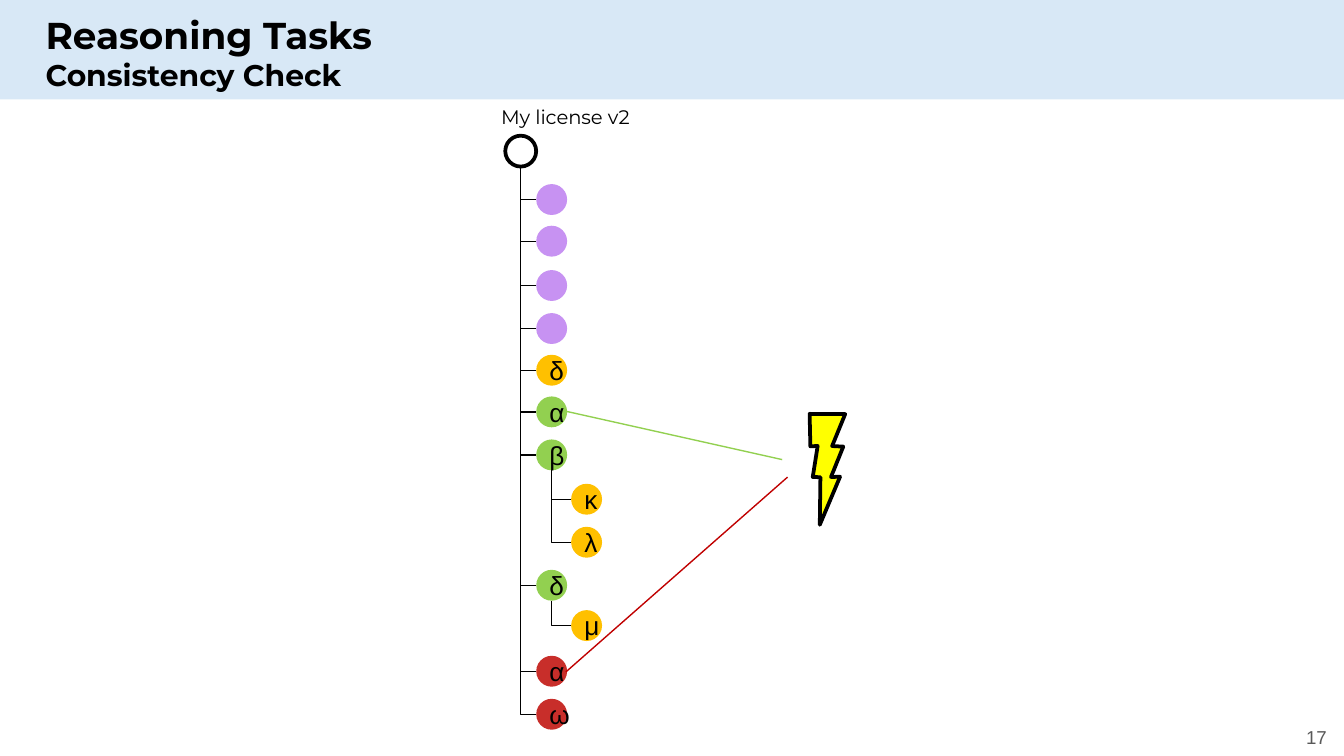
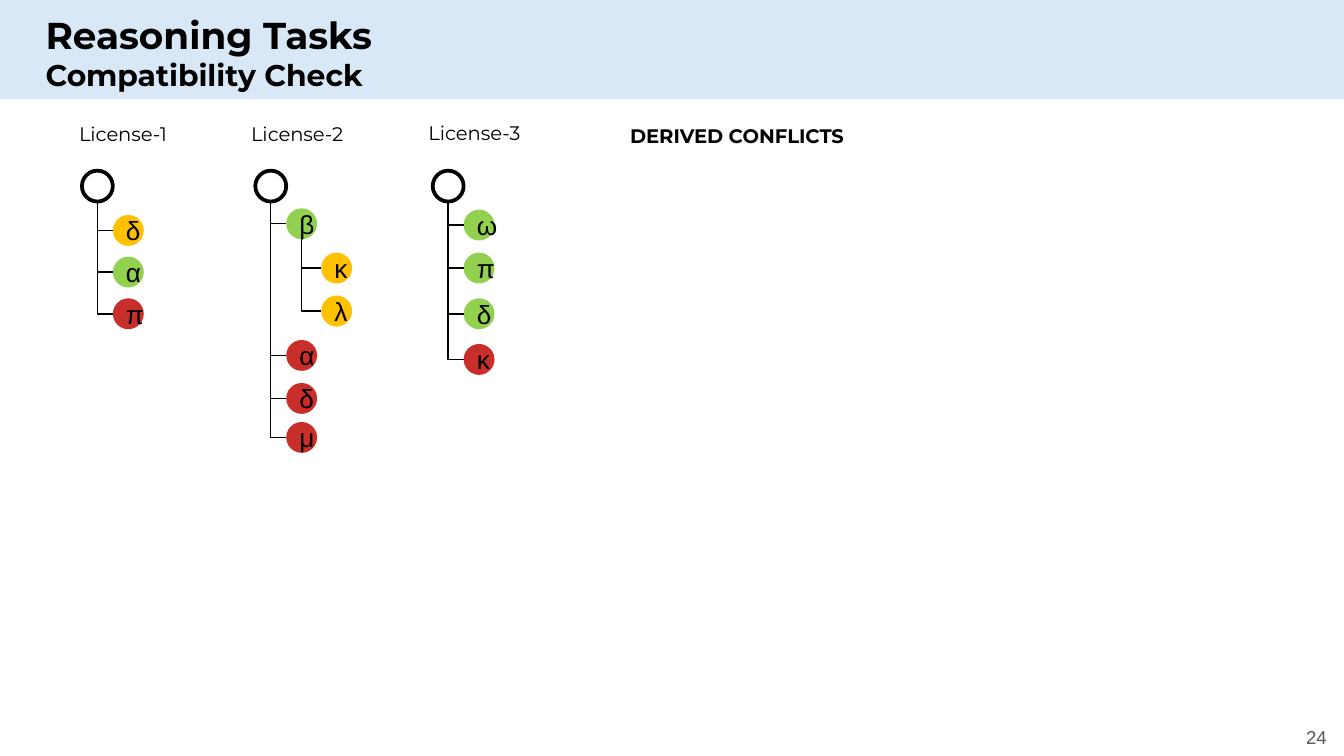
from lxml import etree
from pptx import Presentation
from pptx.dml.color import RGBColor
from pptx.enum import shapes, text
from pptx.oxml import ns
from pptx.util import Inches, Pt

BLACK = RGBColor(0x00, 0x00, 0x00)
GREY = RGBColor(0x59, 0x59, 0x59)
BLUE = RGBColor(0x3D, 0x8F, 0xD3)
LILAC = RGBColor(0xC7, 0x92, 0xF2)
AMBER = RGBColor(0xFF, 0xC0, 0x00)
GREEN = RGBColor(0x92, 0xD0, 0x50)
RED = RGBColor(0xC8, 0x2E, 0x2A)
DARK = RGBColor(0xC0, 0x00, 0x00)
YELLOW = RGBColor(0xFF, 0xFF, 0x00)

DOT = 0.23
STEP = 0.23
INDENT = 0.26

PAGES = [
    {
        "topic": "Consistency Check",
        "number": "17",
        "heads": [("My license v2", 3.63, 0.73, 1.18, False)],
        "trees": [
            (3.76, 1.01, [
                ("", LILAC, 1.37, 0), ("", LILAC, 1.68, 0),
                ("", LILAC, 2.01, 0), ("", LILAC, 2.33, 0),
                ("δ", AMBER, 2.64, 0), ("α", GREEN, 2.95, 0),
                ("β", GREEN, 3.27, 0), ("κ", AMBER, 3.6, 1),
                ("λ", AMBER, 3.92, 1), ("δ", GREEN, 4.24, 0),
                ("μ", AMBER, 4.54, 1), ("α", RED, 4.88, 0),
                ("ω", RED, 5.2, 0),
            ]),
        ],
        "clash": [(4.21, 3.06, 5.82, 3.42, GREEN), (4.21, 5, 5.86, 3.55, DARK)],
    },
    {
        "topic": "Compatibility Check",
        "number": "24",
        "heads": [
            ("License-1", 0.49, 0.86, 0.87, False),
            ("License-2", 1.77, 0.86, 0.9, False),
            ("License-3", 3.09, 0.85, 0.9, False),
            ("DERIVED CONFLICTS", 4.59, 0.87, 1.83, True),
        ],
        "trees": [
            (0.61, 1.27, [
                ("δ", AMBER, 1.6, 0), ("α", GREEN, 1.91, 0), ("π", RED, 2.22, 0),
            ]),
            (1.9, 1.27, [
                ("β", GREEN, 1.55, 0), ("κ", AMBER, 1.88, 1),
                ("λ", AMBER, 2.2, 1), ("α", RED, 2.53, 0),
                ("δ", RED, 2.85, 0), ("μ", RED, 3.14, 0),
            ]),
            (3.22, 1.27, [
                ("ω", GREEN, 1.56, 0), ("π", GREEN, 1.88, 0),
                ("δ", GREEN, 2.22, 0), ("κ", RED, 2.56, 0),
            ]),
        ],
        "clash": [],
    },
]


def write(shape, lines, face, color=BLACK, bold=False):
    frame = shape.text_frame
    frame.text = "\n".join(line for line, size in lines)
    for para, (line, size) in zip(frame.paragraphs, lines):
        font = para.runs[0].font
        font.name, font.size, font.bold = face, Pt(size), bold
        font.color.rgb = color
    return frame


def wire(slide, x1, y1, x2, y2, color=BLACK, bent=False):
    kind = shapes.MSO_CONNECTOR.ELBOW if bent else shapes.MSO_CONNECTOR.STRAIGHT
    link = slide.shapes.add_connector(
        kind, Inches(x1), Inches(y1), Inches(x2), Inches(y2))
    link.line.color.rgb = color
    link.line.width = Pt(0.75)
    props = link.element.spPr
    etree.SubElement(props, ns.qn("a:effectLst"))
    if bent:
        drop, run = y2 - y1, x2 - x1
        link.left, link.top = Inches((x1 + x2 - drop) / 2), Inches((y1 + y2 - run) / 2)
        link.width, link.height = Inches(drop), Inches(run)
        props.find(ns.qn("a:prstGeom")).set("prst", "bentConnector2")
        frame = props.find(ns.qn("a:xfrm"))
        frame.set("rot", "16200000")
        frame.set("flipH", "1")


deck = Presentation()
deck.slide_width = Inches(10)
deck.slide_height = deck.slide_width * 9 // 16

for page in PAGES:
    slide = deck.slides.add_slide(deck.slide_layouts[6])
    items = slide.shapes

    band = items.add_shape(
        shapes.MSO_SHAPE.RECTANGLE, 0, 0, deck.slide_width, Inches(0.74))
    band.shadow.inherit = False
    band.fill.solid()
    band.fill.fore_color.rgb = BLUE
    band.line.fill.background()
    tint = band.element.spPr.find(".//" + ns.qn("a:srgbClr"))
    etree.SubElement(tint, ns.qn("a:alpha")).set("val", "20000")

    title = items.add_textbox(Inches(0.24), Inches(-0.01), Inches(9.32), Inches(0.63))
    lines = [("Reasoning Tasks", 20), (page["topic"], 16)]
    frame = write(title, lines, "Montserrat", bold=True)
    frame.word_wrap = True
    frame.margin_top = frame.margin_bottom = Inches(0.1)

    for name, left, top, width, bold in page["heads"]:
        head = items.add_textbox(Inches(left), Inches(top), Inches(width), Inches(0.28))
        frame = write(head, [(name, 10.5)], "Montserrat", bold=bold)
        frame.word_wrap = False
        frame.auto_size = text.MSO_AUTO_SIZE.SHAPE_TO_FIT_TEXT

    for left, top, nodes in page["trees"]:
        stems = [(left, top)]
        for mark, color, y, depth in [("", None, top, -1)] + nodes:
            x = left + STEP * (depth >= 0) + INDENT * (depth > 0)
            dot = items.add_shape(
                shapes.MSO_SHAPE.OVAL, Inches(x), Inches(y), Inches(DOT), Inches(DOT))
            dot.shadow.inherit = False
            if color is None:
                dot.fill.background()
                dot.line.color.rgb = BLACK
                dot.line.width = Pt(2)
                continue
            dot.fill.solid()
            dot.fill.fore_color.rgb = color
            dot.line.fill.background()
            if mark:
                write(dot, [(mark, 14)], "Arial")
            stems = stems[:depth + 1] + [(x, y)]
            px, py = stems[depth]
            wire(slide, px + DOT / 2, py + DOT, x, y + DOT / 2, bent=True)

    for x1, y1, x2, y2, color in page["clash"]:
        wire(slide, x1, y1, x2, y2, color)

    if page["clash"]:
        bolt = items.add_shape(
            shapes.MSO_SHAPE.LIGHTNING_BOLT,
            Inches(5.87), Inches(3.06), Inches(0.58), Inches(0.75))
        bolt.shadow.inherit = False
        bolt.fill.solid()
        bolt.fill.fore_color.rgb = YELLOW
        bolt.line.color.rgb = BLACK
        bolt.line.width = Pt(2)
        bolt.rotation = 149.6
        bolt.element.spPr.find(ns.qn("a:xfrm")).set("flipV", "1")

    number = items.add_textbox(Inches(9.37), Inches(5.27), Inches(0.6), Inches(0.43))
    frame = write(number, [(page["number"], 10)], "Arial", GREY)
    frame.word_wrap = True
    frame.margin_top = frame.margin_bottom = Inches(0.1)
    frame.vertical_anchor = text.MSO_ANCHOR.MIDDLE
    frame.paragraphs[0].alignment = text.PP_ALIGN.RIGHT

deck.save("out.pptx")
